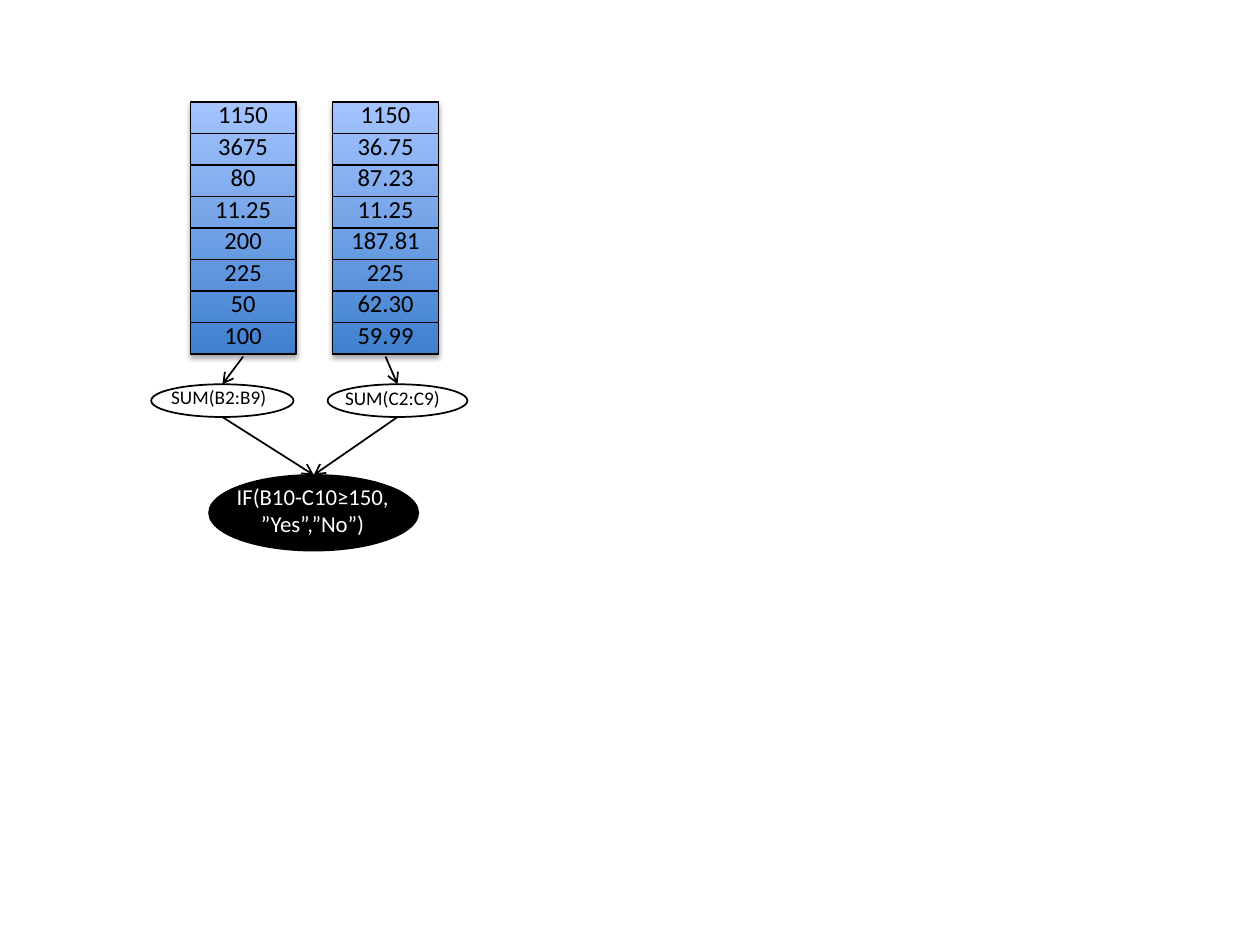
from lxml.etree import SubElement
from pptx import Presentation
from pptx.dml.color import RGBColor
from pptx.enum.shapes import MSO_CONNECTOR, MSO_SHAPE
from pptx.enum.text import MSO_AUTO_SIZE, PP_ALIGN
from pptx.oxml.ns import qn
from pptx.util import Inches, Pt

COLORS = {"ink": "000000", "paper": "FFFFFF", "deep": "3F80CE",
          "pale": "A4C4FF", "edge": "4B7EBC"}
COLUMNS = [
    (1.51, 1.93, ["1150", "3675", "80", "11.25", "200", "225", "50", "100"]),
    (2.64, 3.06, ["1150", "36.75", "87.23", "11.25", "187.81", "225", "62.30", "59.99"]),
]
SUMS = [("SUM(B2:B9)", 1.2, 1.13, 1.26, 3.01), ("SUM(C2:C9)", 2.6, 1.11, 2.64, 3.02)]
COLUMN_TOP, CELL_WIDTH, CELL_HEIGHT = 0.81, 0.84, 0.25
SUM_TOP, SUM_HEIGHT = 3.05, 0.26
RESULT_CENTER, RESULT_TOP = 2.49, 3.77


def color(name):
    """Return the named colour."""
    return RGBColor.from_string(COLORS[name])


def add_outline(page, kind, bounds, line_width, fill=None, line="ink"):
    """Add a shape with a line and an optional solid fill."""
    shape = page.shapes.add_shape(kind, *map(Inches, bounds))
    shape.shadow.inherit = False
    shape.line.color.rgb = color(line)
    shape.line.width = Pt(line_width)
    if fill:
        shape.fill.solid()
        shape.fill.fore_color.rgb = color(fill)
    else:
        shape.fill.background()
    return shape


def add_gradient_panel(page, left, height):
    """Add the shaded panel behind a column of values."""
    bounds = (left, COLUMN_TOP, CELL_WIDTH, height)
    panel = add_outline(page, MSO_SHAPE.RECTANGLE, bounds, 0.75, line="edge")
    panel.fill.gradient()
    panel.fill.gradient_angle = 90
    for stop, name, position in zip(panel.fill.gradient_stops, ("deep", "pale"), (0, 1)):
        stop.color.rgb = color(name)
        stop.position = position
    effects = panel._element.spPr.find(qn("a:effectLst"))
    shadow = SubElement(effects, qn("a:outerShdw"), blurRad=str(Pt(3.1)),
                        dist=str(Pt(1.8)), dir="5400000", rotWithShape="0")
    tint = SubElement(shadow, qn("a:srgbClr"), val=COLORS["ink"])
    SubElement(tint, qn("a:alpha"), val="35000")


def add_label(page, lines, bounds, size, name="ink", align=PP_ALIGN.CENTER):
    """Add an unwrapped text box of one paragraph."""
    box = page.shapes.add_textbox(*map(Inches, bounds))
    box.text_frame.word_wrap = False
    box.text_frame.auto_size = MSO_AUTO_SIZE.SHAPE_TO_FIT_TEXT
    para = box.text_frame.paragraphs[0]
    para.alignment = align
    for index, line in enumerate(lines):
        if index:
            para.add_line_break()
        span = para.add_run()
        span.text = line
        span.font.name = "Calibri"
        span.font.size = Pt(size)
        span.font.color.rgb = color(name)


def add_arrow(page, start, end):
    """Add a thin line with an open arrowhead at its end."""
    arrow = page.shapes.add_connector(MSO_CONNECTOR.STRAIGHT, *map(Inches, start + end))
    arrow.line.color.rgb = color("ink")
    arrow.line.width = Pt(1)
    SubElement(arrow.line._get_or_add_ln(), qn("a:tailEnd"), type="arrow")
    SubElement(arrow._element.spPr, qn("a:effectLst"))


def add_column(page, left, center, values):
    """Add a panel with one bordered cell and label per value."""
    add_gradient_panel(page, left, CELL_HEIGHT * len(values))
    for row, value in enumerate(values):
        top = COLUMN_TOP + row * CELL_HEIGHT
        add_outline(page, MSO_SHAPE.RECTANGLE, (left, top, CELL_WIDTH, CELL_HEIGHT), 0.75)
        width = 0.2 + 0.1 * len(value) - 0.05 * value.count(".")
        add_label(page, [value], (center - width / 2, top - 0.07, width, 0.34), 14)


def add_sum(page, formula, left, width, label_left, label_top, source):
    """Add a sum ellipse with arrows from its column and to the result."""
    center = left + width / 2
    add_outline(page, MSO_SHAPE.OVAL, (left, SUM_TOP, width, SUM_HEIGHT), 1, "paper")
    add_arrow(page, (source, 2.83), (center, SUM_TOP))
    add_arrow(page, (center, SUM_TOP + SUM_HEIGHT), (RESULT_CENTER, RESULT_TOP))
    add_label(page, [formula], (label_left, label_top, 0.96, 0.29), 11, align=PP_ALIGN.LEFT)


def main():
    """Build the formula flow diagram."""
    deck = Presentation()
    deck.slide_width, deck.slide_height = Inches(10), Inches(7.5)
    page = deck.slides.add_slide(deck.slide_layouts[6])
    for column in COLUMNS:
        add_column(page, *column)
    add_outline(page, MSO_SHAPE.OVAL, (1.66, RESULT_TOP, 1.66, 0.6), 1, "ink")
    for entry, (_, center, _) in zip(SUMS, COLUMNS):
        add_sum(page, *entry, center)
    add_label(page, ["IF(B10-C10≥150,", "”Yes”,”No”)"], (1.77, 3.78, 1.42, 0.54), 13, "paper")
    deck.save("out.pptx")


if __name__ == "__main__":
    main()
